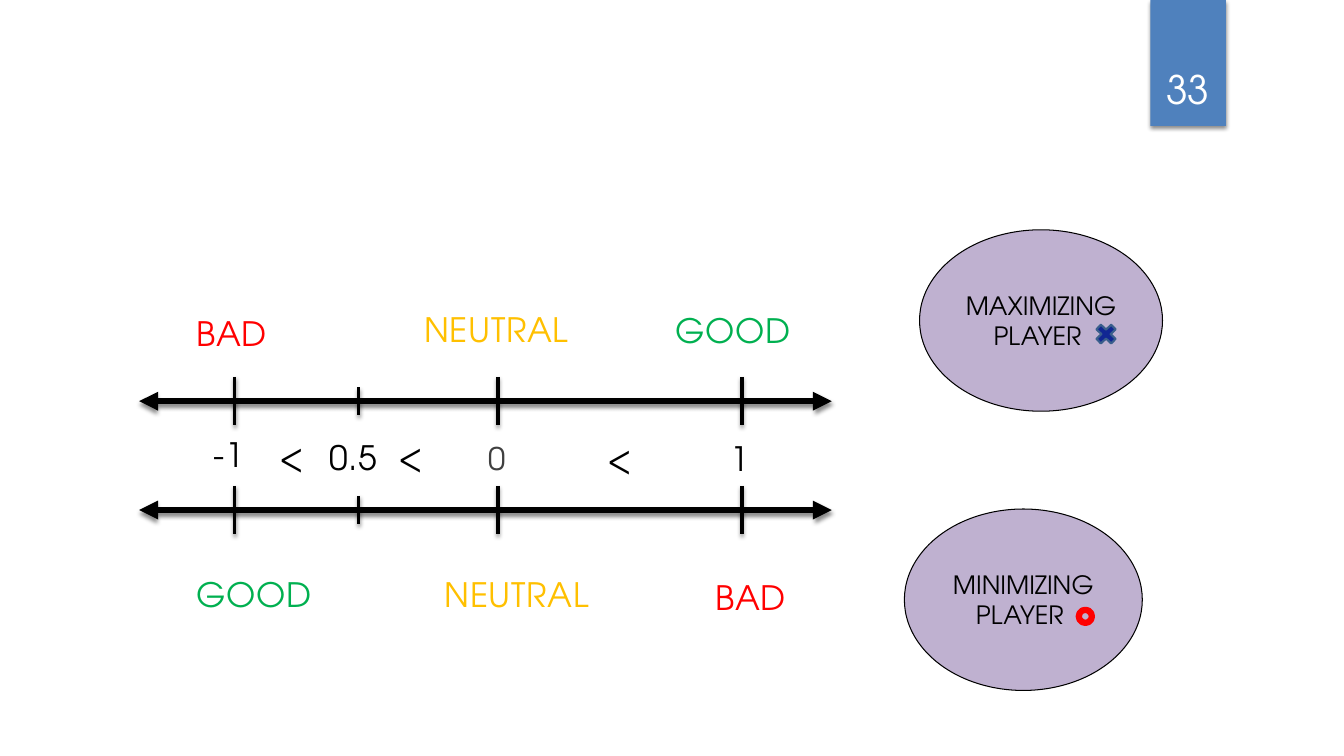
from lxml import etree
from pptx import Presentation
from pptx.dml.color import RGBColor
from pptx.enum.shapes import MSO_CONNECTOR, MSO_SHAPE
from pptx.enum.text import MSO_ANCHOR, PP_ALIGN
from pptx.oxml.ns import qn
from pptx.util import Pt

PX = 9144  # 100 px to the inch
FONT = "TeX Gyre Adventor"
CENTER, LEFT = PP_ALIGN.CENTER, PP_ALIGN.LEFT
TOP, MIDDLE, BOTTOM = MSO_ANCHOR.TOP, MSO_ANCHOR.MIDDLE, MSO_ANCHOR.BOTTOM

COLORS = {
    "black": "000000", "white": "FFFFFF", "gray": "404040",
    "red": "FF0000", "green": "00B050", "amber": "FFC000",
    "banner": "4F81BD", "purple": "8064A2",
    "cross": "112793", "cross_edge": "3A5F8C",
}

# Content: text, colour, (left, top, width, height)
PAGE_NUMBER = "33"
LABELS = [
    ("BAD", "red", (185, 305, 95, 62)),
    ("NEUTRAL", "amber", (411, 302, 165, 62)),
    ("GOOD", "green", (660, 303, 135, 62)),
    ("-1", "black", (202, 426, 62, 62)),
    ("<", "black", (267, 428, 28, 62)),
    ("0.5", "black", (317, 429, 79, 33)),
    ("<", "black", (385, 428, 28, 62)),
    ("<", "black", (593, 429, 42, 62)),
    ("1", "black", (715, 429, 49, 55)),
    ("GOOD", "green", (185, 564, 140, 62)),
    ("NEUTRAL", "amber", (431, 564, 165, 62)),
    ("BAD", "red", (700, 567, 95, 62)),
]
ZERO_LABEL = ("0", "gray", (475, 431, 37, 44))
PLAYERS = [
    ("MAXIMIZING\vPLAYER ", (912, 228, 241, 180)),
    ("MINIMIZING\vPLAYER ", (897, 505, 236, 180)),
]
AXIS_START, AXIS_END = 138, 825
AXIS_HEIGHTS = [398, 506]
TICKS = [(233, 24), (356, 14), (494, 24), (736, 24)]  # x, half length

presentation = Presentation()
presentation.slide_width = 1333 * PX
presentation.slide_height = 750 * PX
slide = presentation.slides.add_slide(presentation.slide_layouts[6])


def color(name):
    return RGBColor.from_string(COLORS[name])


def emu(lengths):
    return [length * PX for length in lengths]


def add_shadow(shape):
    properties = shape._element.spPr
    effects = properties.find(qn("a:effectLst"))
    if effects is None:
        effects = etree.SubElement(properties, qn("a:effectLst"))
    shadow = etree.SubElement(effects, qn("a:outerShdw"), blurRad=str(Pt(3)),
                              dist=str(Pt(2)), dir="5400000", rotWithShape="0")
    black = etree.SubElement(shadow, qn("a:srgbClr"), val=COLORS["black"])
    etree.SubElement(black, qn("a:alpha"), val="45000")


def set_text(shape, text, size, color_name, align=LEFT, anchor=TOP, spacing=0):
    frame = shape.text_frame
    frame.word_wrap = True
    frame.vertical_anchor = anchor
    frame.text = text
    paragraph = frame.paragraphs[0]
    paragraph.alignment = align
    for run in paragraph.runs:
        run.font.name = FONT
        run.font.size = Pt(size)
        run.font.color.rgb = color(color_name)
        if spacing:
            run._r.get_or_add_rPr().set("spc", str(spacing))


def add_label(text, color_name, box, size=24, **options):
    set_text(slide.shapes.add_textbox(*emu(box)), text, size, color_name, **options)


def add_shape(kind, box, fill=None, line=None, width=0):
    shape = slide.shapes.add_shape(kind, *emu(box))
    shape.shadow.inherit = False
    if fill:
        shape.fill.solid()
        shape.fill.fore_color.rgb = color(fill)
    else:
        shape.fill.background()
    if line:
        shape.line.color.rgb = color(line)
        shape.line.width = Pt(width)
    else:
        shape.line.fill.background()
    return shape


def add_line(x1, y1, x2, y2, width, arrows=False):
    line = slide.shapes.add_connector(MSO_CONNECTOR.STRAIGHT, *emu((x1, y1, x2, y2)))
    line.line.color.rgb = color("black")
    line.line.width = Pt(width)
    if arrows:
        for end in ("a:headEnd", "a:tailEnd"):
            etree.SubElement(line.line._get_or_add_ln(), qn(end), type="triangle")
    add_shadow(line)


# Page number banner
add_shadow(add_shape(MSO_SHAPE.RECTANGLE, (1141, 0, 75, 125), "banner"))
add_label(PAGE_NUMBER, "white", (1132, 32, 92, 84), 28, align=CENTER, anchor=BOTTOM)

# Number lines with ticks
for y in AXIS_HEIGHTS:
    add_line(AXIS_START, y, AXIS_END, y, 4.5, arrows=True)
    for x, half in TICKS:
        add_line(x, y - half, x, y + half, 2.25)

# Values and ratings
for text, color_name, box in LABELS:
    add_label(text, color_name, box, spacing=50)
add_label(*ZERO_LABEL, size=22.2)

# Players
for text, box in PLAYERS:
    ellipse = add_shape(MSO_SHAPE.OVAL, box, "purple", "black", 0.75)
    fill_color = ellipse._element.spPr.find(qn("a:solidFill"))[0]
    etree.SubElement(fill_color, qn("a:alpha"), val="50000")
    set_text(ellipse, text, 18, "black", CENTER, MIDDLE)

# Player marks
add_shape(MSO_SHAPE.MATH_MULTIPLY, (1083, 318, 28, 27), "cross", "cross_edge", 1.5)
add_shape(MSO_SHAPE.FLOWCHART_CONNECTOR, (1070, 605, 13, 13), None, "red", 4.5)

presentation.save("out.pptx")
